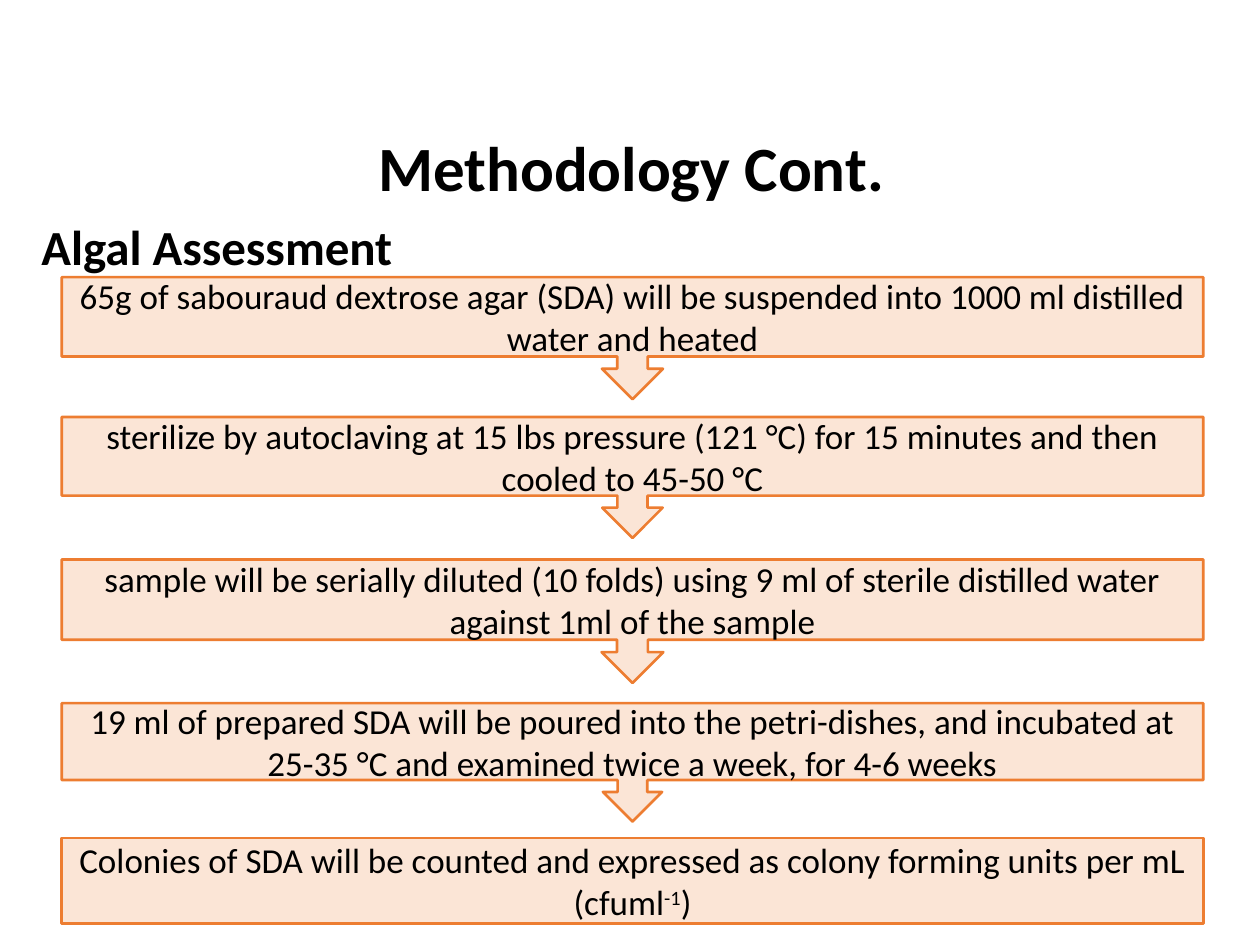
from pptx import Presentation
from pptx.dml.color import RGBColor
from pptx.enum.shapes import MSO_SHAPE
from pptx.enum.text import MSO_ANCHOR, PP_ALIGN
from pptx.util import Pt


def color(hex_value):
    return RGBColor.from_string(hex_value)


def style(run, size, bold=False):
    run.font.name = "Calibri"
    run.font.size = Pt(size)
    run.font.bold = bold
    run.font.color.rgb = color("000000")


deck = Presentation()
deck.slide_width, deck.slide_height = Pt(720), Pt(540)
slide = deck.slides.add_slide(deck.slide_layouts[6])

heading = slide.shapes.add_textbox(Pt(16.6), Pt(74.9), Pt(688.3), Pt(445.7)).text_frame
heading.word_wrap = True
heading.text = "Methodology Cont.\nAlgal Assessment"
title, subtitle = heading.paragraphs
title.alignment = PP_ALIGN.CENTER
subtitle.space_before = Pt(10)
for line, size in ((title, 36), (subtitle, 28)):
    line.line_spacing = 0.9
    style(line.runs[0], size, bold=True)

steps = [
    (158.4, 69.8, "65g of sabouraud dextrose agar (SDA) will be suspended into 1000 ml distilled water and heated"),
    (238.3, 69.1, "sterilize by autoclaving at 15 lbs pressure (121 °C) for 15 minutes and then cooled to 45-50 °C"),
    (319.7, 70.6, "sample will be serially diluted (10 folds) using 9 ml of sterile distilled water against 1ml of the sample"),
    (401.8, 67.7, "19 ml of prepared SDA will be poured into the petri-dishes, and incubated at 25-35 °C and examined twice a week, for 4-6 weeks"),
    (478.8, 49, "Colonies of SDA will be counted and expressed as colony forming units per mL (cfuml"),
]
last_step = len(steps) - 1
for index, (top, height, wording) in enumerate(steps):
    outline = MSO_SHAPE.RECTANGLE if index == last_step else MSO_SHAPE.DOWN_ARROW_CALLOUT
    step = slide.shapes.add_shape(outline, Pt(35.3), Pt(top), Pt(652.3), Pt(height))
    step.shadow.inherit = False
    step.fill.solid()
    step.fill.fore_color.rgb = color("FBE5D6")
    step.line.color.rgb = color("ED7D31")
    step.line.width = Pt(1.5)
    step.text_frame.word_wrap = True
    step.text_frame.vertical_anchor = MSO_ANCHOR.MIDDLE
    step.text_frame.text = wording
    sentence = step.text_frame.paragraphs[0]
    sentence.alignment = PP_ALIGN.CENTER
    if index == last_step:
        exponent = sentence.add_run()
        exponent.text = "-1"
        exponent._r.get_or_add_rPr().set("baseline", "30000")
        sentence.add_run().text = ")"
    for run in sentence.runs:
        style(run, 20)

deck.save("out.pptx")
